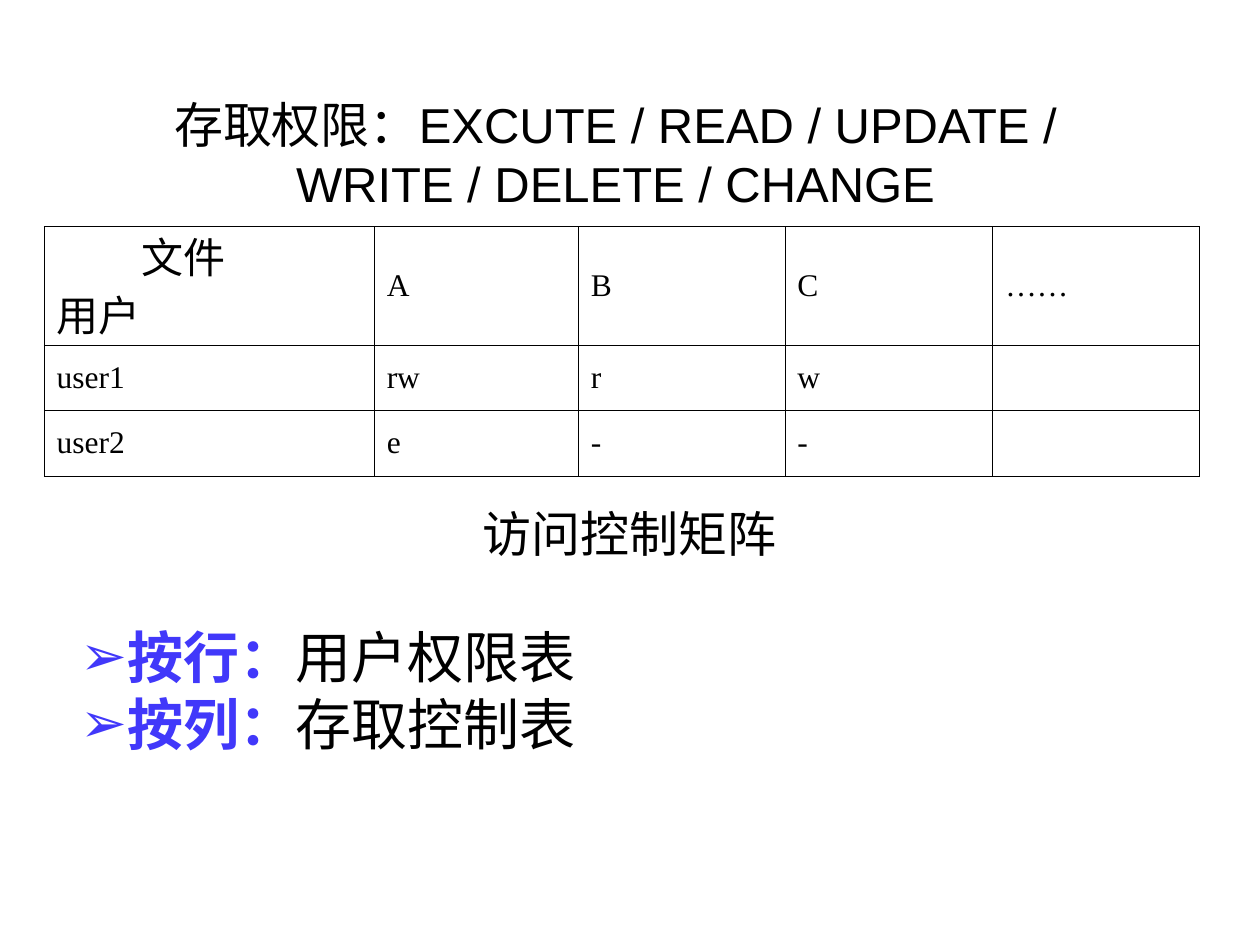
from dataclasses import dataclass
from typing import Any
from lxml.etree import SubElement as Sub
from pptx import Presentation
from pptx.dml.color import RGBColor
from pptx.enum.text import MSO_ANCHOR as Anchor, MSO_AUTO_SIZE as Auto, PP_ALIGN as Align
from pptx.oxml import parse_xml
from pptx.oxml.ns import nsdecls, qn
from pptx.util import Inches, Pt

W, H = Inches(10), Inches(7.5)
BLACK, VIOLET = "000000", "4138FA"
SANS, SERIF = "Arial", "Times New Roman"
COLS = (26.2, 16.2, 16.4, 16.5, 16.4)
ROWS = (12.5, 6.93, 6.93)
MATRIX = (
    ("文件\n用户", "A", "B", "C", "……"),
    ("user1", "rw", "r", "w", ""),
    ("user2", "e", "-", "-", ""),
)
RULES = (("按行：", "用户权限表"), ("按列：", "存取控制表"))


@dataclass(frozen=True)
class Box:
    """Left, top, width and height in percent of the slide."""
    x: float
    y: float
    w: float
    h: float

    def emu(self) -> tuple[int, ...]:
        return tuple(int(v * full / 100) for v, full in
                     zip((self.x, self.y, self.w, self.h), (W, H, W, H)))


@dataclass(frozen=True)
class Style:
    size: float
    name: str = SANS
    color: str = BLACK
    bold: bool = False


def rgb(value: str) -> RGBColor:
    return RGBColor.from_string(value)


def apply(obj: Any, values: dict[str, Any]) -> None:
    for key, value in values.items():
        setattr(obj, key, value)


def add_run(p: Any, text: str, style: Style) -> None:
    r = p.add_run()
    r.text = text
    apply(r.font, {"size": Pt(style.size), "name": style.name, "bold": style.bold})
    r.font.color.rgb = rgb(style.color)


def place(sp: Any, box: Box, anchor: Any) -> Any:
    apply(sp, dict(zip(("left", "top", "width", "height"), box.emu())))
    tf = sp.text_frame
    apply(tf, {"word_wrap": True, "auto_size": Auto.NONE, "vertical_anchor": anchor,
               "margin_left": Inches(0.1), "margin_right": Inches(0.1),
               "margin_top": Inches(0.05), "margin_bottom": Inches(0.05)})
    return tf


def write_lines(tf: Any, lines: tuple[str, ...], style: Style) -> None:
    for i, line in enumerate(lines):
        p = tf.paragraphs[0] if i == 0 else tf.add_paragraph()
        p.alignment = Align.CENTER
        add_run(p, line, style)


def write_rules(tf: Any) -> None:
    for i, (key, meaning) in enumerate(RULES):
        p = tf.paragraphs[0] if i == 0 else tf.add_paragraph()
        apply(p, {"space_before": Pt(0), "alignment": Align.LEFT})
        pPr = p._p.get_or_add_pPr()
        pPr.set("marL", "0")
        pPr.set("indent", "0")
        Sub(Sub(pPr, qn("a:buClr")), qn("a:srgbClr"), val=VIOLET)
        Sub(pPr, qn("a:buFont"), typeface=SANS)
        Sub(pPr, qn("a:buChar"), char="➢")
        add_run(p, key, Style(32, color=VIOLET, bold=True))
        add_run(p, meaning, Style(32))


def draw_borders(cell: Any) -> None:
    tcPr = cell._tc.get_or_add_tcPr()
    for i, side in enumerate(("lnL", "lnR", "lnT", "lnB")):
        tcPr.insert(i, parse_xml(
            f'<a:{side} {nsdecls("a")} w="{Pt(0.45)}"><a:solidFill>'
            f'<a:srgbClr val="{BLACK}"/></a:solidFill></a:{side}>'))


def fill_cell(cell: Any, text: str) -> None:
    cell.fill.background()
    draw_borders(cell)
    cell.vertical_anchor = Anchor.MIDDLE
    lines = text.split("\n")
    corner = len(lines) > 1
    if corner:
        apply(cell, {"margin_top": 0, "margin_bottom": 0})
    for i, line in enumerate(lines):
        tf = cell.text_frame
        p = tf.paragraphs[0] if i == 0 else tf.add_paragraph()
        if corner:
            p.line_spacing = Pt(33)
            if i == 0:
                p._p.get_or_add_pPr().set("marL", str(Inches(0.67)))
        if line:
            add_run(p, line, Style(24 if corner else 18, SERIF))


def draw_matrix(s: Any, x: float, y: float) -> None:
    box = Box(x, y, sum(COLS), sum(ROWS))
    table = s.shapes.add_table(len(ROWS), len(COLS), *box.emu()).table
    apply(table, {"first_row": False, "horz_banding": False})
    for col, share in zip(table.columns, COLS):
        col.width = int(W * share / 100)
    for row, share, texts in zip(table.rows, ROWS, MATRIX):
        row.height = int(H * share / 100)
        for cell, text in zip(row.cells, texts):
            fill_cell(cell, text)


def main() -> None:
    prs = Presentation()
    apply(prs, {"slide_width": W, "slide_height": H})
    s = prs.slides.add_slide(prs.slide_layouts[1])
    draw_matrix(s, 3.5, 24)
    heading = place(s.shapes.title, Box(4.3, 9.33, 89.1, 13.87), Anchor.TOP)
    write_lines(heading, ("存取权限：EXCUTE / READ / UPDATE /", "WRITE / DELETE / CHANGE"), Style(28))
    box = Box(25.7, 52.67, 48.5, 7.6)
    caption = place(s.shapes.add_textbox(*box.emu()), box, Anchor.TOP)
    write_lines(caption, ("访问控制矩阵",), Style(28))
    write_rules(place(s.placeholders[1], Box(5.4, 65.2, 56.8, 15.6), Anchor.MIDDLE))
    prs.save("out.pptx")


if __name__ == "__main__":
    main()
